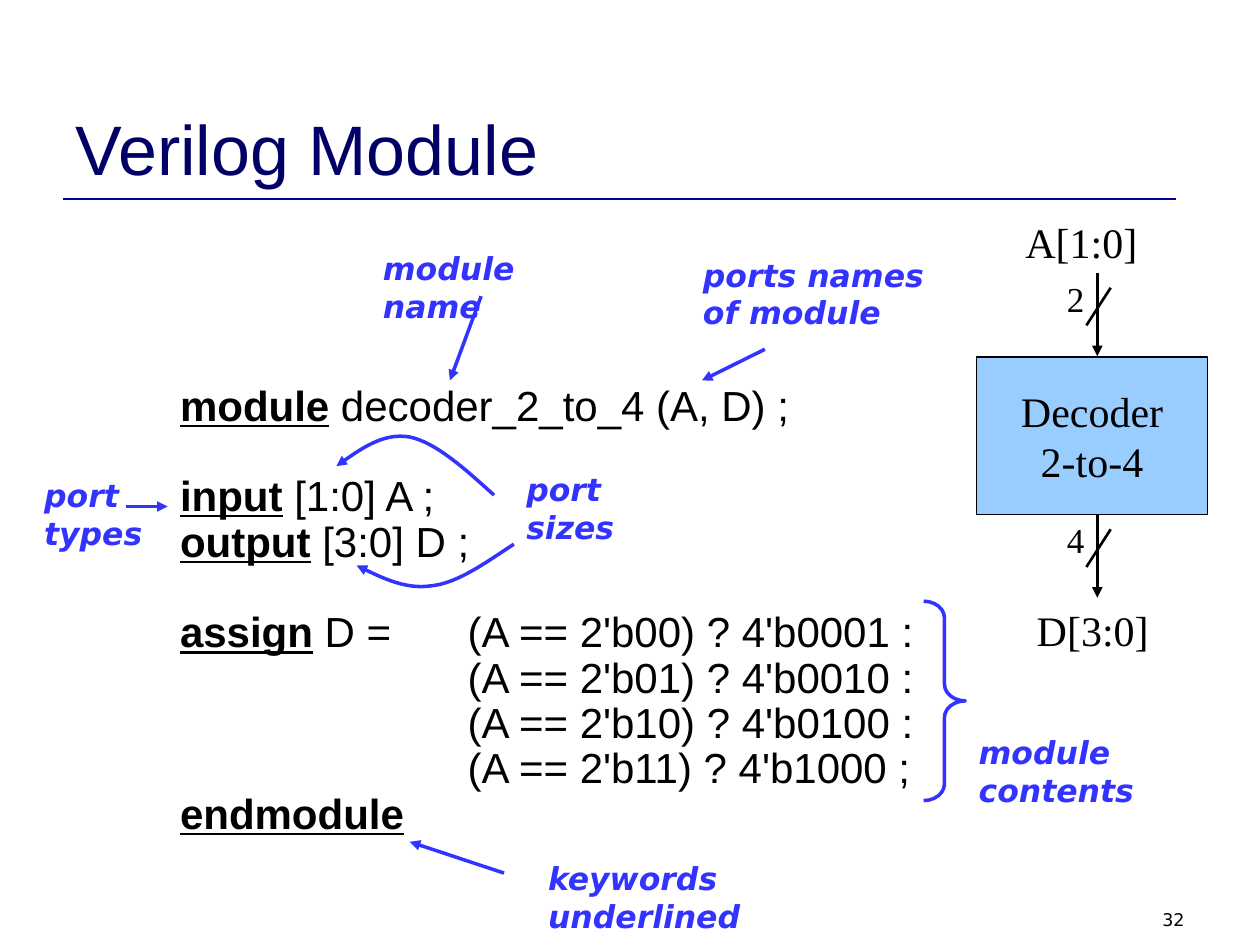
from dataclasses import dataclass

import pptx
import pptx.dml.color
import pptx.enum.shapes
import pptx.enum.text
import pptx.oxml
import pptx.oxml.ns
import pptx.util
from pptx.util import Cm

BLACK, BLUE, NAVY = "000000", "3333FF", "000066"
SANS, SERIF, LABEL = "Arial", "Times New Roman", "DejaVu Sans"
ALIGN = pptx.enum.text.PP_ALIGN
ANCHOR = pptx.enum.text.MSO_ANCHOR
SHAPE = pptx.enum.shapes.MSO_SHAPE
Point = tuple[float, float]
CODE_PITCH = pptx.util.Pt(25.9)
WIRE_X, WIRE_LENGTH = 22.12, 1.68


@dataclass
class Style:
    font: str
    size: float
    color: str = BLACK
    bold: bool = False
    italic: bool = False
    underline: bool = False


@dataclass
class Note:
    text: str
    left: float
    top: float
    width: float


@dataclass
class Port:
    label: str
    left: float
    top: float
    bits: str
    wire_top: float


@dataclass
class CodeLine:
    keyword: str
    rest: str
    starts_block: bool = False


NOTE_STYLE = Style(LABEL, 18, BLUE, bold=True, italic=True)
KEYWORD_STYLE = Style(SANS, 24, bold=True, underline=True)
CODE_STYLE = Style(SANS, 24)

NOTES = [
    Note("ports names of module", 13.92, 5.03, 5.33),
    Note("module name", 7.47, 4.9, 4.6),
    Note("port types", 0.64, 9.47, 2.97),
    Note("port sizes", 10.36, 9.35, 2.97),
    Note("module contents", 19.48, 14.66, 3.81),
    Note("keywords underlined", 10.8, 17.2, 6.78),
]
POINTERS = [
    ((15.42, 7.04), (14.15, 7.67)),
    ((9.7, 5.97), (9.07, 7.67)),
    ((2.54, 10.21), (3.38, 10.21)),
    ((10.16, 17.6), (8.26, 16.97)),
]
CURVES = [
    [(9.96, 9.98), (9.37, 9.45), (8.79, 8.92), (8.26, 8.81),
     (7.72, 8.71), (7.24, 9.07), (6.78, 9.4)],
    [(10.36, 10.97), (9.78, 11.35), (9.22, 11.76), (8.69, 11.81),
     (8.15, 11.89), (7.67, 11.63), (7.19, 11.4)],
]
PORTS = [
    Port("A[1:0]", 20.42, 4.24, "2", 5.5),
    Port("D[3:0]", 20.65, 12.07, "4", 10.37),
]
CODE = [
    CodeLine("module", " decoder_2_to_4 (A, D) ;"),
    CodeLine("input", " [1:0] A ;", starts_block=True),
    CodeLine("output", " [3:0] D ;"),
    CodeLine("assign", " D =\t(A == 2'b00) ? 4'b0001 :", starts_block=True),
    CodeLine("", "\t(A == 2'b01) ? 4'b0010 :"),
    CodeLine("", "\t(A == 2'b10) ? 4'b0100 :"),
    CodeLine("", "\t(A == 2'b11) ? 4'b1000 ;"),
    CodeLine("endmodule", ""),
]


def rgb(color: str):
    return pptx.dml.color.RGBColor.from_string(color)


def add_run(paragraph, text: str, style: Style) -> None:
    run = paragraph.add_run()
    run.text = text
    font = run.font
    font.name, font.size = style.font, pptx.util.Pt(style.size)
    font.bold, font.italic, font.underline = style.bold, style.italic, style.underline
    font.color.rgb = rgb(style.color)


def add_text(slide, text: str, left: float, top: float, width: float, height: float,
             style: Style, wrap: bool = True, align=ALIGN.LEFT, anchor=ANCHOR.TOP) -> None:
    box = slide.shapes.add_textbox(Cm(left), Cm(top), Cm(width), Cm(height))
    frame = box.text_frame
    frame.word_wrap, frame.vertical_anchor = wrap, anchor
    paragraph = frame.paragraphs[0]
    paragraph.alignment = align
    add_run(paragraph, text, style)


def set_line(shape, color: str, width: float, arrow: bool = False) -> None:
    shape.line.color.rgb = rgb(color)
    shape.line.width = pptx.util.Pt(width)
    if arrow:
        line = shape.element.spPr.find(pptx.oxml.ns.qn("a:ln"))
        line.append(pptx.oxml.parse_xml(
            f'<a:tailEnd {pptx.oxml.ns.nsdecls("a")} type="triangle"/>'))


def add_line(slide, start: Point, end: Point, color: str, width: float,
             arrow: bool = False) -> None:
    connector = slide.shapes.add_connector(
        pptx.enum.shapes.MSO_CONNECTOR.STRAIGHT, *map(Cm, start + end))
    set_line(connector, color, width, arrow)
    connector.element.spPr.append(
        pptx.oxml.parse_xml(f'<a:effectLst {pptx.oxml.ns.nsdecls("a")}/>'))


def bezier(controls: list[Point], t: float) -> Point:
    """Point at t on a cubic curve with four control points."""
    weights = ((1 - t) ** 3, 3 * t * (1 - t) ** 2, 3 * t ** 2 * (1 - t), t ** 3)
    x, y = (sum(w * c[axis] for w, c in zip(weights, controls)) for axis in (0, 1))
    return x, y


def add_curve(slide, controls: list[Point], steps: int = 16) -> None:
    """Arrow along joined cubic curves, every third control being a joint."""
    points = [bezier(controls[first:first + 4], step / steps)
              for first in range(0, len(controls) - 1, 3)
              for step in range(1, steps + 1)]
    builder = slide.shapes.build_freeform(*map(Cm, controls[0]))
    builder.add_line_segments([(Cm(x), Cm(y)) for x, y in points], close=False)
    curve = builder.convert_to_shape()
    curve.fill.background()
    curve.shadow.inherit = False
    set_line(curve, BLUE, 2, arrow=True)


def add_code(slide) -> None:
    box = slide.shapes.add_textbox(Cm(3.38), Cm(7.62), Cm(20.96), Cm(9.4))
    frame = box.text_frame
    frame.word_wrap = True
    for index, line in enumerate(CODE):
        paragraph = frame.add_paragraph() if index else frame.paragraphs[0]
        paragraph.line_spacing = CODE_PITCH
        if line.starts_block:
            paragraph.space_before = CODE_PITCH
        paragraph._p.get_or_add_pPr().append(pptx.oxml.parse_xml(
            f'<a:tabLst {pptx.oxml.ns.nsdecls("a")}>'
            f'<a:tab pos="{Cm(5.8)}" algn="l"/></a:tabLst>'))
        for text, style in ((line.keyword, KEYWORD_STYLE), (line.rest, CODE_STYLE)):
            if text:
                add_run(paragraph, text, style)


def add_decoder(slide) -> None:
    block = slide.shapes.add_shape(SHAPE.RECTANGLE, Cm(19.69), Cm(7.2), Cm(4.65), Cm(3.17))
    block.shadow.inherit = False
    block.fill.solid()
    block.fill.fore_color.rgb = rgb("99CCFF")
    set_line(block, BLACK, 0.75)
    frame = block.text_frame
    frame.word_wrap, frame.vertical_anchor = False, ANCHOR.MIDDLE
    for index, text in enumerate(("Decoder", "2-to-4")):
        paragraph = frame.add_paragraph() if index else frame.paragraphs[0]
        paragraph.alignment = ALIGN.CENTER
        add_run(paragraph, text, Style(SERIF, 24))


def add_port(slide, port: Port) -> None:
    """Port label, and its wire with a slash and the number of bits."""
    top = port.wire_top
    add_text(slide, port.label, port.left, port.top, 2.77, 1.27, Style(SERIF, 24), wrap=False)
    add_text(slide, port.bits, 21.26, top - 0.04, 0.86, 1.12, Style(SERIF, 20), wrap=False)
    add_line(slide, (WIRE_X, top), (WIRE_X, top + WIRE_LENGTH), BLACK, 2, arrow=True)
    add_line(slide, (WIRE_X + 0.27, top + 0.3), (WIRE_X - 0.22, top + 1.06), BLACK, 1.5)


def main() -> None:
    presentation = pptx.Presentation()
    presentation.slide_width, presentation.slide_height = Cm(25.4), Cm(19.05)
    slide = presentation.slides.add_slide(presentation.slide_layouts[6])

    add_line(slide, (1.27, 4.01), (23.7, 4.01), "0000A0", 1.5)
    add_text(slide, "32", 18.21, 18.21, 5.92, 0.64, Style(LABEL, 10), align=ALIGN.RIGHT)
    add_text(slide, "Verilog Module", 1.27, 0.76, 22.86, 3.18,
             Style(SANS, 40, NAVY), anchor=ANCHOR.BOTTOM)
    add_code(slide)
    add_decoder(slide)
    for port in PORTS:
        add_port(slide, port)
    for note in NOTES:
        add_text(slide, note.text, note.left, note.top, note.width, 1.78, NOTE_STYLE)
    for start, end in POINTERS:
        add_line(slide, start, end, BLUE, 2, arrow=True)
    for controls in CURVES:
        add_curve(slide, controls)

    brace = slide.shapes.add_shape(SHAPE.RIGHT_BRACE, Cm(18.62), Cm(12.12), Cm(0.84), Cm(4.02))
    brace.adjustments[0] = 0.4
    brace.shadow.inherit = False
    brace.fill.background()
    set_line(brace, BLUE, 2)

    presentation.save("out.pptx")


if __name__ == "__main__":
    main()
